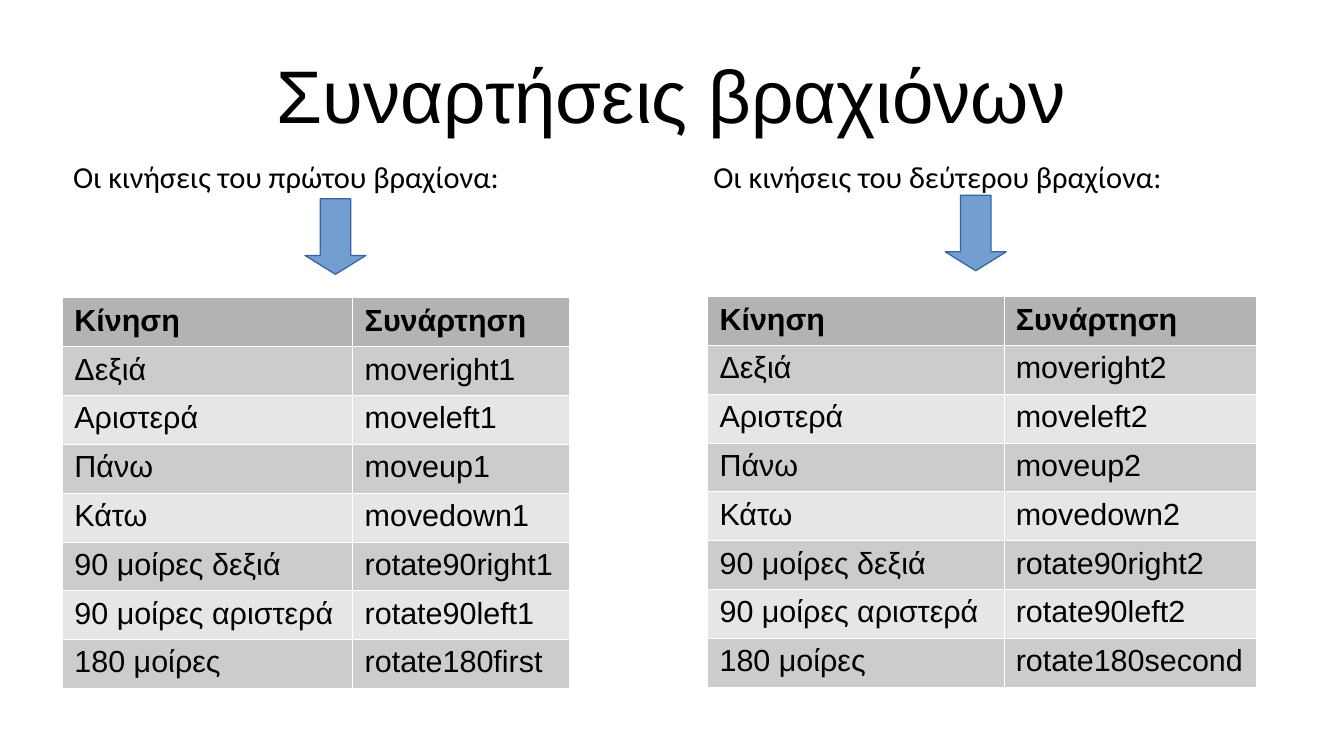
from dataclasses import dataclass

from lxml import etree
from pptx import Presentation, util as u
from pptx.dml.color import RGBColor
from pptx.enum import shapes, text
from pptx.oxml.ns import qn

BLACK = RGBColor(0x00, 0x00, 0x00)
WHITE = RGBColor(0xFF, 0xFF, 0xFF)
HEADER_GREY = RGBColor(0xB3, 0xB3, 0xB3)
BANDS = (RGBColor(0xCC, 0xCC, 0xCC), RGBColor(0xE6, 0xE6, 0xE6))
ARROW_BLUE = RGBColor(0x72, 0x9F, 0xCF)
ARROW_EDGE = RGBColor(0x34, 0x65, 0xA4)

# Grid of 100 columns by 100 rows
SLIDE_WIDTH, SLIDE_HEIGHT = u.Inches(11.02), u.Inches(6.2)
CAPTION_TOP, CAPTION_HEIGHT = 20.16, 6.45
ARROW_OFFSET, ARROW_WIDTH, ARROW_HEIGHT = 18.15, 4.54, 10
ROW_HEIGHT = 6.16

MOVES = ("Δεξιά", "Αριστερά", "Πάνω", "Κάτω",
         "90 μοίρες δεξιά", "90 μοίρες αριστερά", "180 μοίρες")
FUNCTIONS = ("moveright", "moveleft", "moveup", "movedown",
             "rotate90right", "rotate90left")


@dataclass(frozen=True)
class Arm:
    number: int
    caption: str
    half_turn: str
    caption_left: float
    caption_width: float
    arrow_top: float
    table_left: float
    table_top: float
    table_columns: tuple[float, float]

    def rows(self) -> list[tuple[str, str]]:
        names = [f"{name}{self.number}" for name in FUNCTIONS]
        return [("Κίνηση", "Συνάρτηση"), *zip(MOVES, [*names, self.half_turn])]


ARMS = (
    Arm(1, "Οι κινήσεις του πρώτου βραχίονα:", "rotate180first",
        4.54, 36.3, 26.29, 4.63, 39.35, (21.6, 16.15)),
    Arm(2, "Οι κινήσεις του δεύτερου βραχίονα:", "rotate180second",
        52.18, 40.83, 25.81, 52.63, 39.19, (22.05, 18.78)),
)


def across(columns: float) -> int:
    return round(SLIDE_WIDTH * columns / 100)


def down(rows: float) -> int:
    return round(SLIDE_HEIGHT * rows / 100)


def area(left: float, top: float, width: float, height: float) -> tuple[int, ...]:
    return across(left), down(top), across(width), down(height)


def write(frame, words: str, size: float, face: str, bold: bool = False) -> None:
    frame.text = words
    font = frame.paragraphs[0].font
    font.size, font.name, font.bold = u.Pt(size), face, bold
    font.color.rgb = BLACK


def add_borders(cell) -> None:
    properties = cell._tc.get_or_add_tcPr()
    for side in ("lnL", "lnR", "lnT", "lnB"):
        border = etree.SubElement(properties, qn(f"a:{side}"), w=str(u.Pt(0.06)))
        fill = etree.SubElement(border, qn("a:solidFill"))
        etree.SubElement(fill, qn("a:srgbClr"), val=str(WHITE))


def add_title(slide) -> None:
    title = slide.shapes.title
    title.left, title.top, title.width, title.height = area(5, 4.03, 90, 16.77)
    frame = title.text_frame
    frame.margin_left = frame.margin_right = frame.margin_top = frame.margin_bottom = 0
    frame.vertical_anchor = text.MSO_ANCHOR.MIDDLE
    frame.auto_size = text.MSO_AUTO_SIZE.SHAPE_TO_FIT_TEXT
    write(frame, "Συναρτήσεις βραχιόνων", 44, "Arial")
    frame.paragraphs[0].alignment = text.PP_ALIGN.CENTER


def add_function_table(slide, arm: Arm) -> None:
    rows = arm.rows()
    table = slide.shapes.add_table(
        len(rows), 2, *area(arm.table_left, arm.table_top,
                            sum(arm.table_columns), ROW_HEIGHT * len(rows))).table
    table.first_row = table.horz_banding = False
    for column, width in zip(table.columns, arm.table_columns):
        column.width = across(width)
    for r, row in enumerate(rows):
        table.rows[r].height = down(ROW_HEIGHT)
        for c, words in enumerate(row):
            cell = table.cell(r, c)
            write(cell.text_frame, words, 18, "Arial", bold=r == 0)
            add_borders(cell)
            cell.fill.solid()
            cell.fill.fore_color.rgb = BANDS[(r - 1) % 2] if r else HEADER_GREY


def add_caption(slide, arm: Arm) -> None:
    caption = slide.shapes.add_textbox(
        *area(arm.caption_left, CAPTION_TOP, arm.caption_width, CAPTION_HEIGHT))
    frame = caption.text_frame
    frame.word_wrap = True
    frame.auto_size = text.MSO_AUTO_SIZE.SHAPE_TO_FIT_TEXT
    write(frame, arm.caption, 18, "Calibri")


def add_arrow(slide, arm: Arm) -> None:
    arrow = slide.shapes.add_shape(
        shapes.MSO_SHAPE.DOWN_ARROW,
        *area(arm.caption_left + ARROW_OFFSET, arm.arrow_top, ARROW_WIDTH, ARROW_HEIGHT))
    arrow.adjustments[0], arrow.adjustments[1] = 0.5, 0.31
    arrow.shadow.inherit = False
    arrow.fill.solid()
    arrow.fill.fore_color.rgb = ARROW_BLUE
    arrow.line.color.rgb = ARROW_EDGE
    arrow.line.width = 0


def main() -> None:
    deck = Presentation()
    deck.slide_width, deck.slide_height = SLIDE_WIDTH, SLIDE_HEIGHT
    slide = deck.slides.add_slide(deck.slide_layouts[5])
    add_title(slide)

    # One half of the slide per arm
    for arm in ARMS:
        add_function_table(slide, arm)
        add_caption(slide, arm)
        add_arrow(slide, arm)
    deck.save("out.pptx")


if __name__ == "__main__":
    main()
